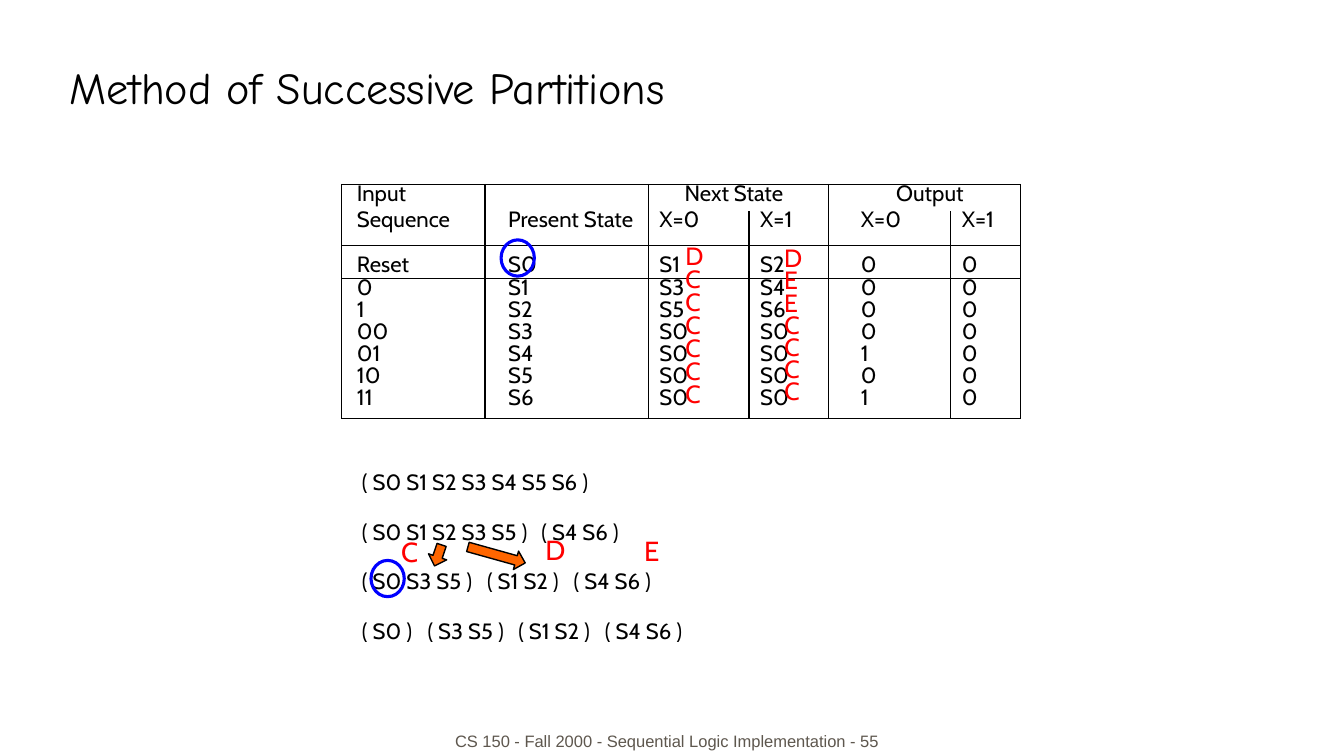
from lxml.etree import SubElement
from pptx import Presentation
from pptx.dml.color import RGBColor
from pptx.enum.shapes import MSO_SHAPE
from pptx.enum.text import MSO_ANCHOR, PP_ALIGN
from pptx.oxml import parse_xml
from pptx.oxml.ns import nsdecls, qn
from pptx.util import Inches, Pt

COLORS = {"ink": "000000", "footer": "5E574E", "mark": "FF0000",
          "ring": "0000FF", "arrow": "FF6600"}
NO_GRID_STYLE = "{2D5ABB26-0587-4C30-8999-92F81FD0307C}"

prs = Presentation()
prs.slide_width, prs.slide_height = Inches(13.33), Inches(7.5)
slide = prs.slides.add_slide(prs.slide_layouts[6])


def style(paragraph, size, font="Cabin", color="ink"):
    paragraph.font.size = Pt(size)
    paragraph.font.name = font
    paragraph.font.color.rgb = RGBColor.from_string(COLORS[color])


def add_text(text, left, top, width, height, size, font="Cabin", color="ink", wrap=True):
    """Add a one-paragraph text box and return its text frame."""
    box = slide.shapes.add_textbox(Inches(left), Inches(top), Inches(width), Inches(height))
    frame = box.text_frame
    frame.word_wrap = wrap
    frame.text = text
    style(frame.paragraphs[0], size, font, color)
    return frame


footer = add_text("CS 150 - Fall 2000 - Sequential Logic Implementation - 55",
                  3.41, 7, 6.41, 0.5, 11.8, "Arial", "footer")
footer.vertical_anchor = MSO_ANCHOR.BOTTOM
footer.paragraphs[0].alignment = PP_ALIGN.CENTER
title = add_text("Method of Successive Partitions", 0.59, 0.25, 11.33, 0.92, 31.6, "Comic Neue")
title.vertical_anchor = MSO_ANCHOR.BOTTOM

# Successive partitions: each step lists its groups and where the later groups start
partitions = [
    (["( S0 S1 S2 S3 S4 S5 S6 )"], []),
    (["( S0 S1 S2 S3 S5 )", "( S4 S6 )"], [1.78]),
    (["( S0 S3 S5 )", "( S1 S2 )", "( S4 S6 )"], [1.24, 2.1]),
    (["( S0 )", "( S3 S5 )", "( S1 S2 )", "( S4 S6 )"], [0.65, 1.55, 2.41]),
]
steps = slide.shapes.add_textbox(Inches(3.57), Inches(4.47), Inches(6.05), Inches(2.33)).text_frame
steps.word_wrap = True
steps.margin_left = steps.margin_right = Inches(0.02)
steps.margin_top = steps.margin_bottom = Inches(0.03)
steps.text = "\n".join("\t".join(groups) for groups, _ in partitions)
for index, (step, (_, stops)) in enumerate(zip(steps.paragraphs, partitions)):
    if stops:
        tabs = SubElement(step._p.get_or_add_pPr(), qn("a:tabLst"))
        for stop in stops:
            SubElement(tabs, qn("a:tab"), pos=str(Inches(stop)), algn="l")
    step.line_spacing = Pt(29.6)
    if index:
        step.space_before = Pt(5.9)
    style(step, 15.8)

# State table
state_rows = [
    ["Input", "", "Next State", "", "Output", ""],
    ["Sequence", "Present State", "X=0", "X=1", "X=0", "X=1"],
    ["Reset", "S0", "S1", "S2", "0", "0"],
    ["0", "S1", "S3", "S4", "0", "0"],
    ["1", "S2", "S5", "S6", "0", "0"],
    ["00", "S3", "S0", "S0", "0", "0"],
    ["01", "S4", "S0", "S0", "1", "0"],
    ["10", "S5", "S0", "S0", "0", "0"],
    ["11", "S6", "S0", "S0", "1", "0"],
]
column_widths = [1.42, 1.62, 1, 0.79, 1.21, 0.69]
row_heights = [0.22, 0.34, 0.33] + [0.22] * 5 + [0.29]
indents = [0.15, 0.23, 0.11, 0.11, 0.32, 0.11]
heading_indents = {"Next State": 0.36, "Output": 0.67}
dividers = {0, 1, 2, 4, 6}
ruled_rows = {0, 2, 9}

table_frame = slide.shapes.add_table(9, 6, Inches(3.39), Inches(1.83),
                                     Inches(sum(column_widths)), Inches(sum(row_heights)))
states = table_frame.table
states.first_row = states.horz_banding = False
states._tbl.tblPr.find(qn("a:tableStyleId")).text = NO_GRID_STYLE
for column, width in zip(states.columns, column_widths):
    column.width = Inches(width)
for row, height in zip(states.rows, row_heights):
    row.height = Inches(height)
for first in (2, 4):
    states.cell(0, first).merge(states.cell(0, first + 1))

for r, values in enumerate(state_rows):
    for c, value in enumerate(values):
        cell = states.cell(r, c)
        cell.text = value
        cell.margin_left = Inches(heading_indents.get(value, indents[c]))
        cell.margin_right = cell.margin_bottom = 0
        cell.margin_top = Inches(0.11 if r == 2 else 0)
        cell.text_frame.paragraphs[0].line_spacing = Pt(15.8)
        style(cell.text_frame.paragraphs[0], 15.8)
        cell.fill.background()
        edges = {"lnL": c in dividers, "lnR": c + cell.span_width in dividers,
                 "lnT": r in ruled_rows, "lnB": r + 1 in ruled_rows}
        drawn = [edge for edge, visible in edges.items() if visible]
        for position, edge in enumerate(drawn):
            cell._tc.tcPr.insert(position, parse_xml(
                f'<a:{edge} {nsdecls("a")} w="{Pt(1)}"><a:solidFill>'
                f'<a:srgbClr val="{COLORS["ink"]}"/></a:solidFill></a:{edge}>'))

# Arrows from the second partition to the third
for left, top, height, angle in [(4.25, 5.4, 0.22, 18.5), (4.83, 5.21, 0.59, 285.6)]:
    arrow = slide.shapes.add_shape(MSO_SHAPE.DOWN_ARROW, Inches(left), Inches(top),
                                   Inches(0.19), Inches(height))
    arrow.rotation = angle
    arrow.shadow.inherit = False
    arrow.fill.solid()
    arrow.fill.fore_color.rgb = RGBColor.from_string(COLORS["arrow"])
    arrow.line.color.rgb = RGBColor.from_string(COLORS["ink"])
    arrow.line.width = Pt(1)

# Group names above the third partition, then beside each next state
for name, left, top, width in [("C", 3.88, 5.26, 0.37), ("D", 5.31, 5.24, 0.39),
                               ("E", 6.29, 5.25, 0.35)]:
    add_text(name, left, top, width, 0.43, 19.7, color="mark", wrap=False)

mark_widths = {"C": 0.35, "D": 0.37, "E": 0.34}
for names, left, top, pitch in [("DCCCCCC", 6.7, 2.34, 0.227), ("DEECCCC", 7.68, 2.36, 0.22)]:
    for index, name in enumerate(names):
        add_text(name, left, top + index * pitch, mark_widths[name], 0.4, 17.8,
                 color="mark", wrap=False)

# Rings around S0
for left, top in [(3.68, 5.56), (4.97, 2.38)]:
    ring = slide.shapes.add_shape(MSO_SHAPE.OVAL, Inches(left), Inches(top),
                                  Inches(0.33), Inches(0.36))
    ring.shadow.inherit = False
    ring.fill.background()
    ring.line.color.rgb = RGBColor.from_string(COLORS["ring"])
    ring.line.width = Pt(2.25)

prs.save("out.pptx")
